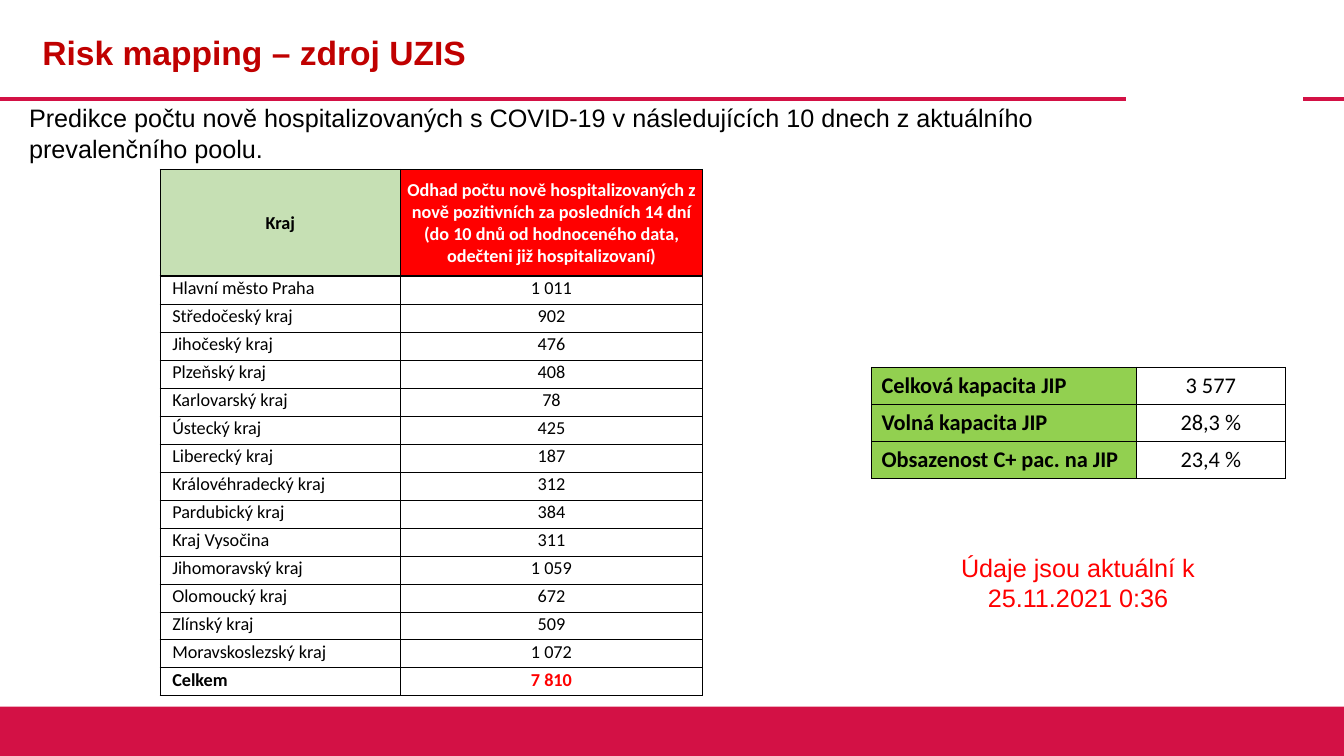
from lxml.etree import SubElement
from pptx import Presentation
from pptx.dml.color import RGBColor
from pptx.enum.shapes import MSO_CONNECTOR as Conn, MSO_SHAPE as Shape
from pptx.enum.text import MSO_ANCHOR as Anchor, PP_ALIGN as Align
from pptx.oxml.ns import qn
from pptx.util import Pt

BRAND = "D31145"
BLACK, WHITE, RED = "000000", "FFFFFF", "FF0000"
HEAD = ("Kraj", "Odhad počtu nově hospitalizovaných z nově pozitivních za posledních "
        "14 dní (do 10 dnů od hodnoceného data, odečteni již hospitalizovaní)")
REGIONS = [
    ("Hlavní město Praha", "1 011"), ("Středočeský kraj", "902"),
    ("Jihočeský kraj", "476"), ("Plzeňský kraj", "408"),
    ("Karlovarský kraj", "78"), ("Ústecký kraj", "425"),
    ("Liberecký kraj", "187"), ("Královéhradecký kraj", "312"),
    ("Pardubický kraj", "384"), ("Kraj Vysočina", "311"),
    ("Jihomoravský kraj", "1 059"), ("Olomoucký kraj", "672"),
    ("Zlínský kraj", "509"), ("Moravskoslezský kraj", "1 072"),
]
TOTAL = ("Celkem", "7 810")
BEDS = [("Celková kapacita JIP", "3 577"), ("Volná kapacita JIP", "28,3 %"),
        ("Obsazenost C+ pac. na JIP", "23,4 %")]


def rgb(code):
    return RGBColor.from_string(code)


def style(para, size, color, bold=False, face="Arial", align=Align.LEFT):
    para.alignment = align
    font = para.font
    font.name, font.size, font.bold = face, Pt(size), bold
    font.color.rgb = rgb(color)


def add_title(slide, text):
    title = slide.shapes.title
    title.left, title.top, title.width, title.height = Pt(23), Pt(18.7), Pt(778.3), Pt(70.6)
    frame = title.text_frame
    frame.text = text
    frame.word_wrap = True
    frame.vertical_anchor = Anchor.TOP
    frame.margin_top = Pt(7.2)
    para = frame.paragraphs[0]
    para.line_spacing = 0.9
    style(para, 24, "C00000", bold=True)


def add_text(slide, text, box, color, align=Align.LEFT):
    frame = slide.shapes.add_textbox(*map(Pt, box)).text_frame
    frame.word_wrap = True
    frame.text = text
    style(frame.paragraphs[0], 18, color, align=align)


def add_rule(slide, start, end):
    y = Pt(70.6)
    rule = slide.shapes.add_connector(Conn.STRAIGHT, Pt(start), y, Pt(end), y)
    rule.line.color.rgb = rgb(BRAND)
    rule.line.width = Pt(3)
    SubElement(rule.element.spPr, qn("a:effectLst"))


def add_band(slide):
    band = slide.shapes.add_shape(Shape.RECTANGLE, 0, Pt(504.7), Pt(960), Pt(35.3))
    band.shadow.inherit = False
    band.fill.solid()
    band.fill.fore_color.rgb = rgb(BRAND)
    band.line.fill.background()


def add_grid(slide, left, top, widths, heights):
    frame = slide.shapes.add_table(len(heights), len(widths), Pt(left), Pt(top),
                                   Pt(sum(widths)), Pt(sum(heights)))
    table = frame.table
    table.first_row = table.horz_banding = False
    for col, width in zip(table.columns, widths):
        col.width = Pt(width)
    for row, height in zip(table.rows, heights):
        row.height = Pt(height)
    return table


def set_edges(cell, side, top, bottom):
    props = cell._tc.get_or_add_tcPr()
    for tag, width in (("lnL", side), ("lnR", side), ("lnT", top), ("lnB", bottom)):
        edge = SubElement(props, qn(f"a:{tag}"), w=str(Pt(width)))
        fill = SubElement(edge, qn("a:solidFill"))
        SubElement(fill, qn("a:srgbClr"), val=BLACK)


def fill_cell(cell, text, size, edges, color=BLACK, bold=False, fill=None,
              align=Align.LEFT, anchor=Anchor.TOP, pads=None):
    """Write and format a cell; pads are left, top, right and bottom."""
    set_edges(cell, *edges)
    if fill:
        cell.fill.solid()
        cell.fill.fore_color.rgb = rgb(fill)
    else:
        cell.fill.background()
    if pads:
        (cell.margin_left, cell.margin_top,
         cell.margin_right, cell.margin_bottom) = map(Pt, pads)
    cell.vertical_anchor = anchor
    cell.text = text
    style(cell.text_frame.paragraphs[0], size, color, bold, "Calibri", align)


def add_regions(slide):
    last = len(REGIONS) + 1
    table = add_grid(slide, 114.5, 121, (171.4, 216), [76.2] + [20] * last)
    tight = (0.7, 0.7, 0.7, 0)
    for col, (text, color, fill) in enumerate(zip(HEAD, (BLACK, WHITE), ("C6E0B4", RED))):
        fill_cell(table.cell(0, col), text, 13, (1, 1, 1), color, True, fill,
                  Align.CENTER, Anchor.MIDDLE, tight)
    for row, (name, count) in enumerate(REGIONS + [TOTAL], 1):
        final = row == last
        edges = (1, 1 if row in (1, last) else 0.5, 1 if row >= last - 1 else 0.5)
        fill_cell(table.cell(row, 0), name, 13, edges, bold=final,
                  pads=(8.6, 0.7, 0.7, 3.6))
        fill_cell(table.cell(row, 1), count, 13, edges, RED if final else BLACK, final,
                  align=Align.CENTER, pads=tight)


def add_beds(slide):
    table = add_grid(slide, 622.5, 262.3, (189, 106.8), [26.3] * len(BEDS))
    edges = (0.75, 0.75, 0.75)
    for row, (name, value) in enumerate(BEDS):
        fill_cell(table.cell(row, 0), name, 16, edges, bold=True, fill="92D050")
        fill_cell(table.cell(row, 1), value, 16, edges, align=Align.CENTER,
                  anchor=Anchor.MIDDLE)


def main():
    deck = Presentation()
    deck.slide_width, deck.slide_height = Pt(960), Pt(540)
    slide = deck.slides.add_slide(deck.slide_layouts[5])
    add_rule(slide, 0, 804)
    add_rule(slide, 931, 960)
    add_band(slide)
    add_title(slide, "Risk mapping – zdroj UZIS")
    add_text(slide, "Predikce počtu nově hospitalizovaných s COVID-19 v následujících "
             "10 dnech z aktuálního prevalenčního poolu.", (13.7, 69.8, 787, 51), BLACK)
    add_regions(slide)
    add_text(slide, "Údaje jsou aktuální k 25.11.2021 0:36", (678.2, 391, 183.6, 51),
             RED, Align.CENTER)
    add_beds(slide)
    deck.save("out.pptx")


if __name__ == "__main__":
    main()
